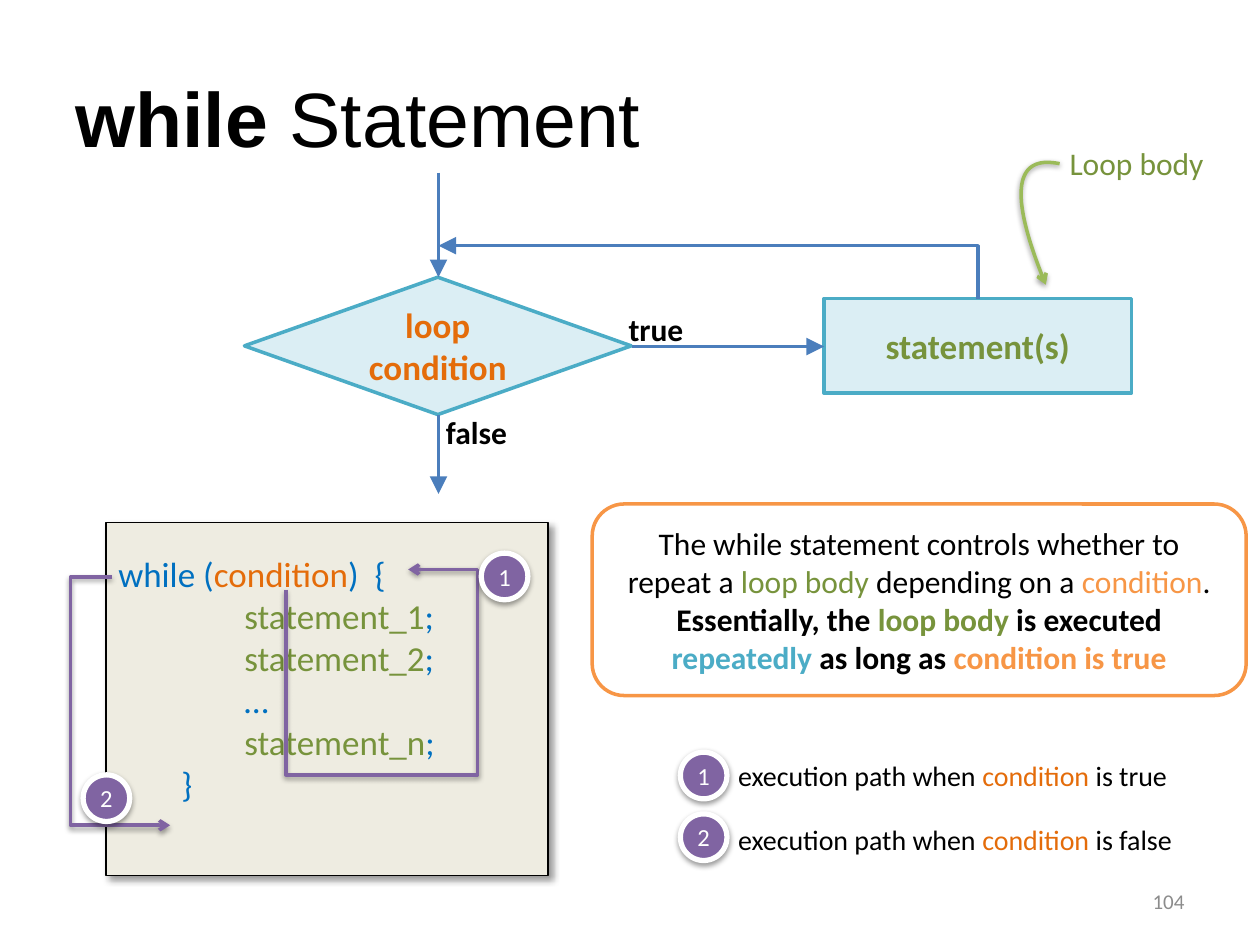
from lxml.etree import SubElement as Sub
from pptx import Presentation
from pptx.dml.color import RGBColor
from pptx.enum.shapes import MSO_CONNECTOR as Con, MSO_SHAPE as Geo
from pptx.enum.text import MSO_ANCHOR as Anchor, MSO_AUTO_SIZE as Fit, PP_ALIGN as Align
from pptx.oxml.ns import qn
from pptx.util import Inches, Pt

BLACK, WHITE, PURPLE, TEAL = "000000", "FFFFFF", "8064A2", "4BACC6"
GREEN, ORANGE, PEACH, BLUE = "77933C", "E46C0A", "F79646", "0070C0"
PALE, ARROW, LIME, CREAM, GREY = "DBEEF4", "4B7EBC", "9BBB59", "EEECE1", "8C8C8C"
# Shadows: alpha, blur, distance, angle
SOFT = (38, 3.1, 1.6, 90)
HARD = (40, 4, 3, 45)


def color(code):
    return RGBColor.from_string(code)


def box(*sizes):
    return [Inches(v) for v in sizes]


def write(frame, lines, size=18, font="Calibri", align=Align.LEFT, indents=()):
    """Each line is a list of runs: (text, colour, bold)."""
    for i, runs in enumerate(lines):
        par = frame.paragraphs[0] if i == 0 else frame.add_paragraph()
        par.alignment = align
        if indents:
            par._p.get_or_add_pPr().set("marL", str(Inches(indents[i])))
        for text, code, *bold in runs:
            run = par.add_run()
            run.text = text
            run.font.size, run.font.name = Pt(size), font
            run.font.color.rgb = color(code)
            run.font.bold = bool(bold and bold[0])


def shade(shape, alpha, blur, dist, angle):
    effects = shape._element.spPr.find(qn("a:effectLst"))
    outer = Sub(effects, qn("a:outerShdw"), blurRad=str(Pt(blur)),
                dist=str(Pt(dist)), dir=str(angle * 60000), rotWithShape="0")
    tint = Sub(outer, qn("a:srgbClr"), val=BLACK)
    Sub(tint, qn("a:alpha"), val=str(alpha * 1000))


def curve(p0, p1, p2, p3, steps=32):
    """Points along a cubic Bezier curve."""
    spots = []
    for i in range(steps + 1):
        t = i / steps
        parts = ((1 - t) ** 3, 3 * t * (1 - t) ** 2, 3 * t * t * (1 - t), t ** 3)
        spots.append(tuple(sum(k * p[a] for k, p in zip(parts, (p0, p1, p2, p3)))
                           for a in (0, 1)))
    return spots


class Deck:
    def __init__(self):
        self.prs = Presentation()
        self.prs.slide_width, self.prs.slide_height = box(10, 7.5)
        self.slide = self.prs.slides.add_slide(self.prs.slide_layouts[5])
        self.shapes = self.slide.shapes

    def title(self, runs, place):
        head = self.shapes.title
        head.left, head.top, head.width, head.height = box(*place)
        head.text_frame.vertical_anchor = Anchor.MIDDLE
        write(head.text_frame, [runs], size=44, font="Arial")

    def label(self, place, runs, wrap=False, **style):
        frame = self.shapes.add_textbox(*box(*place)).text_frame
        frame.word_wrap = wrap
        frame.auto_size = Fit.NONE if wrap else Fit.SHAPE_TO_FIT_TEXT
        if wrap:
            frame.vertical_anchor = Anchor.MIDDLE
        write(frame, [runs], **style)

    def block(self, kind, place, lines, fill, edge, width=2, shadow=None,
              align=Align.CENTER, **style):
        shape = self.shapes.add_shape(kind, *box(*place))
        shape.shadow.inherit = False
        shape.fill.solid()
        shape.fill.fore_color.rgb = color(fill)
        shape.line.color.rgb, shape.line.width = color(edge), Pt(width)
        if shadow:
            shade(shape, *shadow)
        frame = shape.text_frame
        frame.word_wrap, frame.vertical_anchor = True, Anchor.MIDDLE
        write(frame, lines, align=align, **style)
        return frame

    def badge(self, x, y, digit):
        frame = self.block(Geo.OVAL, (x, y, 0.37, 0.37), [[(digit, WHITE)]],
                           PURPLE, WHITE, width=3, shadow=SOFT, size=14)
        frame.margin_left = frame.margin_right = 0

    def tip(self, shape, code, head, size):
        shape.line.color.rgb, shape.line.width = color(code), Pt(2)
        Sub(shape._element.spPr.find(qn("a:ln")), qn("a:tailEnd"),
            type=head, w=size, len=size)

    def arrow(self, x1, y1, x2, y2, kind=Con.STRAIGHT):
        line = self.shapes.add_connector(kind, *box(x1, y1, x2, y2))
        self.tip(line, ARROW, "triangle", "lg")
        Sub(line._element.spPr, qn("a:effectLst"))
        return line

    def corner(self, x1, y1, x2, y2):
        """One-bend arrow that goes up first, then left."""
        cx, cy = (x1 + x2) / 2, (y1 + y2) / 2
        dx, dy = (y1 - y2) / 2, (x1 - x2) / 2
        line = self.arrow(cx - dx, cy + dy, cx + dx, cy - dy, Con.ELBOW)
        props = line._element.spPr
        props.find(qn("a:prstGeom")).set("prst", "bentConnector2")
        props.find(qn("a:xfrm")).set("rot", str(270 * 60000))

    def trace(self, spots, code):
        first, *rest = [box(*spot) for spot in spots]
        pen = self.shapes.build_freeform(*first)
        pen.add_line_segments(rest, close=False)
        shape = pen.convert_to_shape()
        shape.shadow.inherit = False
        shape.fill.background()
        self.tip(shape, code, "arrow", "med")
        shade(shape, *SOFT)


def main():
    deck = Deck()
    deck.title([("while", BLACK, True), (" Statement", BLACK)], (0.5, 0.3, 9, 1.25))

    # Flow chart
    deck.block(Geo.FLOWCHART_DECISION, (1.94, 2.2, 3.07, 1.09),
               [[("loop condition", ORANGE, True)]], PALE, TEAL, size=20)
    deck.block(Geo.FLOWCHART_PROCESS, (6.54, 2.37, 2.44, 0.75),
               [[("statement(s)", GREEN, True)]], PALE, TEAL, size=20)
    deck.arrow(3.48, 1.37, 3.48, 2.2)
    deck.corner(7.76, 2.37, 3.48, 1.95)
    deck.label((4.89, 2.41, 0.64, 0.4), [("true", BLACK, True)])
    deck.label((3.44, 3.23, 0.69, 0.4), [("false", BLACK, True)])
    deck.arrow(3.48, 3.29, 3.48, 3.92)
    deck.arrow(5.02, 2.75, 6.54, 2.75)

    # Code panel
    first, second, last = ([(f"statement_{n}", GREEN), (";", BLUE)] for n in "12n")
    code = [[("while (", BLUE), ("condition", ORANGE), (")  {", BLUE)],
            first, second, [("…", BLUE)], last, [("}", BLUE)]]
    panel = deck.block(Geo.RECTANGLE, (0.84, 4.15, 3.51, 2.8), code, CREAM, BLACK,
                       width=0.75, shadow=HARD, align=Align.LEFT, size=20,
                       indents=(0, 1, 1, 1, 1, 0.5))
    panel.margin_bottom = Inches(0.38)

    # Summary
    summary = [
        [("The while statement controls whether to repeat a ", BLACK),
         ("loop body", GREEN), (" depending on a ", BLACK),
         ("condition", PEACH), (".", BLACK)],
        [("Essentially, the ", BLACK, True), ("loop body", GREEN, True),
         (" is executed ", BLACK, True), ("repeatedly", TEAL, True),
         (" as long as ", BLACK, True), ("condition is true", PEACH, True)]]
    deck.block(Geo.ROUNDED_RECTANGLE, (4.7, 4, 5.19, 1.52), summary, WHITE, PEACH)

    # Execution paths over the code
    deck.trace([(2.27, 4.68), (2.27, 6.15), (3.79, 6.15), (3.79, 4.52),
                (3.24, 4.52)], PURPLE)
    deck.badge(3.82, 4.39, "1")
    deck.trace([(0.89, 4.58), (0.56, 4.58), (0.56, 6.55), (1.35, 6.55)], PURPLE)
    deck.badge(0.66, 6.15, "2")

    # Legend
    for digit, word, y, top in (("1", "true", 5.97, 5.97), ("2", "false", 6.46, 6.48)):
        deck.badge(5.4, y, digit)
        deck.label((5.76, top, 3.7, 0.37),
                   [("execution path when ", BLACK), ("condition", ORANGE),
                    (f" is {word}", BLACK)], size=16)

    # Page number and loop body pointer
    deck.label((7.17, 6.95, 2.33, 0.4), [("104", GREY)], wrap=True, size=12,
               align=Align.RIGHT)
    deck.trace(curve((8.41, 1.3), (8.12, 1.24), (7.95, 1.41), (8.3, 2.26)), LIME)
    deck.label((8.39, 1.09, 1.3, 0.4), [("Loop body", GREEN)])

    deck.prs.save("out.pptx")


if __name__ == "__main__":
    main()
